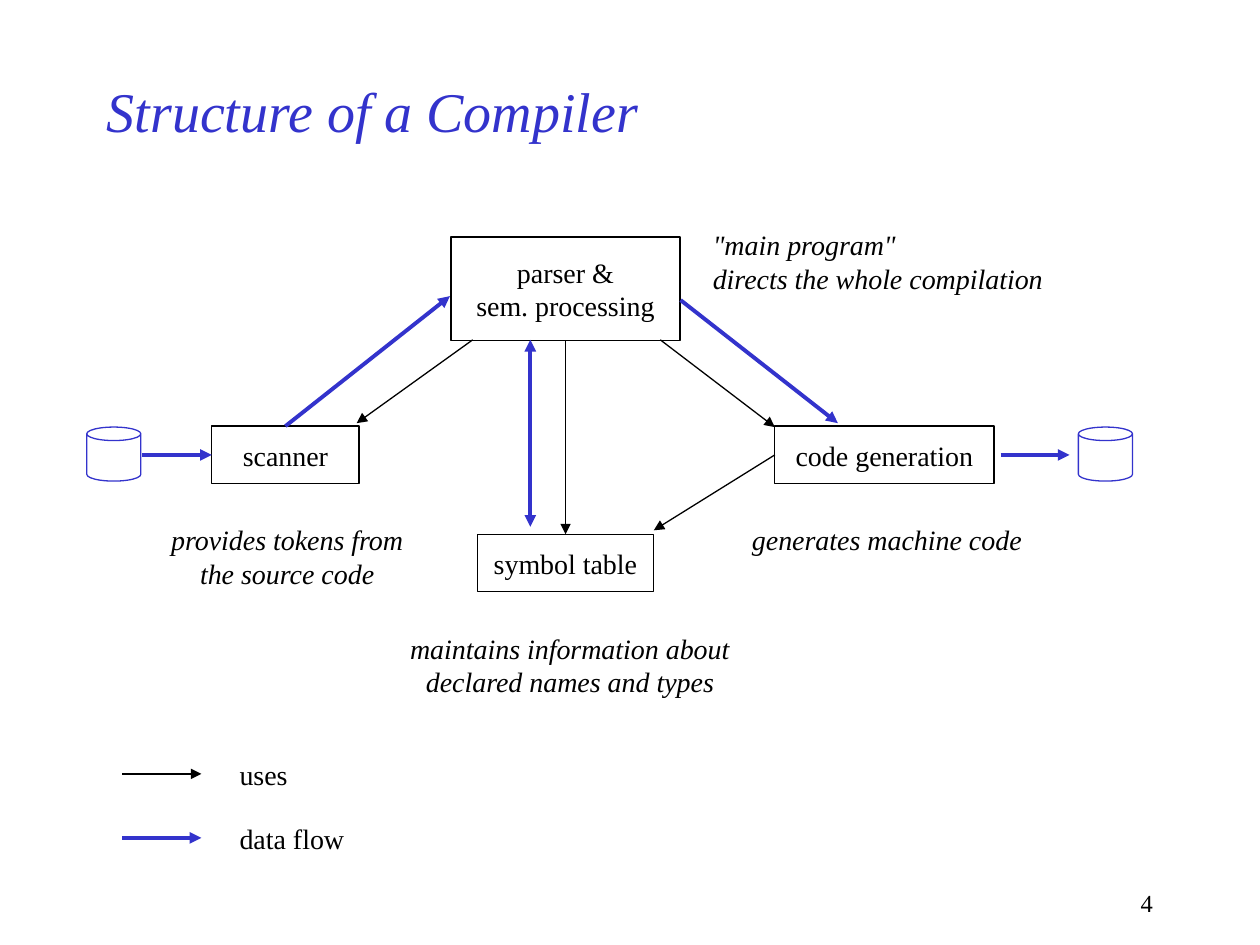
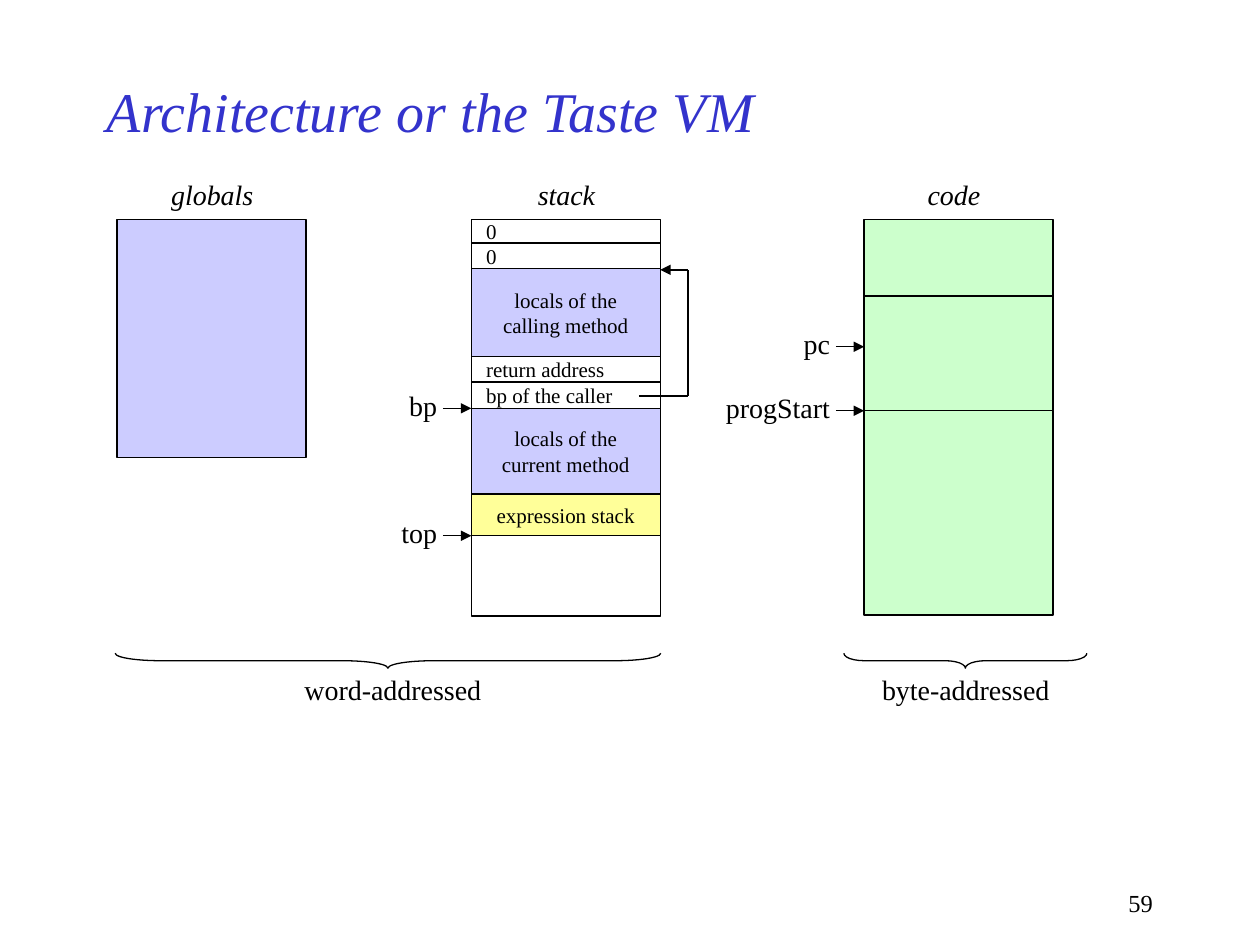
from itertools import pairwise

from lxml.etree import SubElement
from pptx import Presentation
from pptx.dml.color import RGBColor
from pptx.enum.shapes import MSO_CONNECTOR as Connector, MSO_SHAPE as Shape
from pptx.enum.text import MSO_ANCHOR as Anchor, MSO_AUTO_SIZE as AutoSize, PP_ALIGN as Align
from pptx.oxml.ns import qn
from pptx.util import Cm, Pt

FONT = "Times New Roman"
BLACK = RGBColor(0x00, 0x00, 0x00)
BLUE = RGBColor(0x33, 0x33, 0xCC)
LAVENDER = RGBColor(0xCC, 0xCC, 0xFF)
YELLOW = RGBColor(0xFF, 0xFF, 0x99)
GREEN = RGBColor(0xCC, 0xFF, 0xCC)
LEFT, CENTER, RIGHT = Align.LEFT, Align.CENTER, Align.RIGHT
THIN, THICK = 0.75, 2.25
SIDE_TOP, SIDE_LEFT, SIDE_BOTTOM = 0, 1, 2

# Content of the compiler slide; all lengths in cm
PARTS = {  # text: left, top, width, height
    "parser &\nsem. processing": (9.09, 4.78, 4.62, 2.08),
    "scanner": (4.27, 8.59, 2.97, 1.16),
    "symbol table": (9.63, 10.77, 3.54, 1.16),
    "code generation": (15.62, 8.59, 4.42, 1.16),
}
PARSER, SCANNER, SYMBOLS, GENERATOR = PARTS
REMARKS = [  # text, x of the aligned edge or centre, top, alignment
    ("provides tokens from\nthe source code", 5.79, 10.41, CENTER),
    ("maintains information about\ndeclared names and types", 11.49, 12.6, CENTER),
    ("generates machine code", 17.88, 10.41, CENTER),
    ('"main program"\ndirects the whole compilation', 14.12, 4.47, LEFT),
]
# An end is a point or a part with one of its sides
USES = [
    ((PARSER, SIDE_BOTTOM), (SYMBOLS, SIDE_TOP)),
    ((9.53, 6.85), (7.19, 8.53)),
    ((13.31, 6.85), (15.62, 8.61)),
    ((GENERATOR, SIDE_LEFT), (13.18, 10.69)),
]
DATA_FLOW = [
    ((SCANNER, SIDE_TOP), (9.07, 5.97)),
    ((2.87, 9.17), (SCANNER, SIDE_LEFT)),
    ((20.17, 9.17), (21.56, 9.17)),
    ((13.72, 6.05), (16.89, 8.53)),
]
TABLE_ACCESS = ((10.69, 10.62), (10.69, 6.85))
FILES_X, FILE_TOP, FILE_SIZE = (1.75, 21.74), 8.61, 1.09
LEGEND = [("uses", 15.6, BLACK, THIN), ("data flow", 16.89, BLUE, THICK)]

# Content of the VM slide
COLUMN_TOP, COLUMN_WIDTH = 4.42, 3.81
STACK_X, CODE_X = 9.5, 17.42
MEMORY = [  # heading, heading centre, left, rows of (height, fill, text, alignment)
    ("globals", 4.28, 2.36, [(4.8, LAVENDER, "", CENTER)]),
    ("stack", 11.42, STACK_X, [
        (0.48, None, "0", LEFT),
        (0.51, None, "0", LEFT),
        (1.78, LAVENDER, "locals of the\ncalling method", CENTER),
        (0.51, None, "return address", LEFT),
        (0.53, None, "bp of the caller", LEFT),
        (1.73, LAVENDER, "locals of the\ncurrent method", CENTER),
        (0.84, YELLOW, "expression stack", CENTER),
        (1.62, None, "", CENTER),
    ]),
    ("code", 19.23, CODE_X, [(height, GREEN, "", CENTER) for height in (1.55, 2.31, 4.12)]),
]
POINTERS = [("bp", STACK_X, 8.23), ("top", STACK_X, 10.8),
            ("pc", CODE_X, 6.99), ("progStart", CODE_X, 8.28)]
POINTER_LENGTH = 0.57
CALLER_LINK = [(12.88, 7.98), (13.87, 7.98), (13.87, 5.44), (13.31, 5.44)]
ADDRESSING = [  # caption, caption centre, brace centre, brace length
    ("word-addressed", 7.92, 7.82, 11.0),
    ("byte-addressed", 19.47, 19.46, 4.9),
]
BRACE_Y, BRACE_DEPTH = 13.32, 0.3


def cm(*lengths):
    return [Cm(length) for length in lengths]


def write(frame, text, size=16, align=LEFT, italic=False, color=BLACK):
    for number, line in enumerate(text.split("\n")):
        paragraph = frame.add_paragraph() if number else frame.paragraphs[0]
        paragraph.alignment = align
        run = paragraph.add_run()
        run.text = line
        font = run.font
        font.name, font.size, font.italic = FONT, Pt(size), italic
        font.color.rgb = color


def add_label(slide, text, x, top, align=LEFT, italic=False):
    """Place text whose left edge, centre or right edge is at x."""
    lines = text.split("\n")
    width = 0.6 + 0.26 * max(map(len, lines))
    left = x - width * {LEFT: 0, CENTER: 0.5, RIGHT: 1}[align]
    label = slide.shapes.add_textbox(*cm(left, top, width, 0.25 + 0.69 * len(lines)))
    label.text_frame.word_wrap = True
    write(label.text_frame, text, align=align, italic=italic)


def add_outline(slide, kind, place, color=BLACK, fill=None):
    outline = slide.shapes.add_shape(kind, *cm(*place))
    outline.shadow.inherit = False
    outline.line.color.rgb = color
    outline.line.width = Pt(THIN)
    if fill is None:
        outline.fill.background()
    else:
        outline.fill.solid()
        outline.fill.fore_color.rgb = fill
    return outline


def add_box(slide, place, text, fill=None, size=16, align=CENTER, inset=0.0):
    box = add_outline(slide, Shape.RECTANGLE, place, fill=fill)
    if text:
        frame = box.text_frame
        frame.word_wrap = False
        frame.vertical_anchor = Anchor.MIDDLE
        frame.margin_top = frame.margin_bottom = 0
        frame.margin_left = frame.margin_right = Cm(inset)
        write(frame, text, size, align)
    return box


def add_line(slide, start, end, color=BLACK, width=THIN, heads=("tailEnd",), boxes=None):
    points = [(0, 0) if isinstance(stop[0], str) else stop for stop in (start, end)]
    line = slide.shapes.add_connector(Connector.STRAIGHT, *cm(*points[0], *points[1]))
    for stop, connect in ((start, line.begin_connect), (end, line.end_connect)):
        if isinstance(stop[0], str):
            connect(boxes[stop[0]], stop[1])
    line.line.color.rgb = color
    line.line.width = Pt(width)
    properties = line._element.spPr
    for head in heads:
        SubElement(properties.find(qn("a:ln")), qn(f"a:{head}"), type="triangle")
    SubElement(properties, qn("a:effectLst"))


def add_page(deck, heading, number):
    slide = deck.slides.add_slide(deck.slide_layouts[5])
    title = slide.shapes.title
    title.left, title.top, title.width, title.height = cm(1.9, 1.27, 19.05, 1.9)
    title.text_frame.auto_size = AutoSize.NONE
    title.text_frame.vertical_anchor = Anchor.MIDDLE
    write(title.text_frame, heading, 32, italic=True, color=BLUE)
    footer = slide.shapes.add_textbox(*cm(18.21, 17.78, 5.28, 0.84))
    footer.text_frame.word_wrap = True
    write(footer.text_frame, str(number), 14, RIGHT)
    return slide


def build_compiler(deck):
    slide = add_page(deck, "Structure of a Compiler", 4)
    boxes = {text: add_box(slide, place, text) for text, place in PARTS.items()}
    for text, x, top, align in REMARKS:
        add_label(slide, text, x, top, align, italic=True)
    # Source and target files
    for x in FILES_X:
        can = add_outline(slide, Shape.CAN, (x, FILE_TOP, FILE_SIZE, FILE_SIZE), BLUE)
        can.adjustments[0] = 0.25
    # Arrows
    for start, end in USES:
        add_line(slide, start, end, boxes=boxes)
    for start, end in DATA_FLOW:
        add_line(slide, start, end, BLUE, THICK, boxes=boxes)
    add_line(slide, *TABLE_ACCESS, BLUE, THICK, ("headEnd", "tailEnd"))
    # Legend
    for text, y, color, width in LEGEND:
        add_line(slide, (2.46, y), (4.06, y), color, width)
        add_label(slide, text, 4.58, y - 0.46)


def build_vm(deck):
    slide = add_page(deck, "Architecture or the Taste VM", 59)
    # Memory areas, row under row
    for heading, center, left, rows in MEMORY:
        add_label(slide, heading, center, 3.45, CENTER, italic=True)
        top = COLUMN_TOP
        for height, fill, text, align in rows:
            add_box(slide, (left, top, COLUMN_WIDTH, height), text, fill, 12, align, 0.3)
            top += height
    # Registers pointing into the areas
    for register, x, y in POINTERS:
        start = x - POINTER_LENGTH
        add_line(slide, (start, y), (x, y))
        add_label(slide, register, start + 0.13, y - 0.53, RIGHT)
    # Link from the saved bp to the caller's frame
    for start, end in pairwise(CALLER_LINK):
        add_line(slide, start, end, heads=("tailEnd",) if end == CALLER_LINK[-1] else ())
    # Braces: upright ones turned to open upwards
    for caption, caption_x, x, length in ADDRESSING:
        place = (x - BRACE_DEPTH / 2, BRACE_Y - length / 2, BRACE_DEPTH, length)
        brace = add_outline(slide, Shape.RIGHT_BRACE, place)
        brace.adjustments[0] = length / 12 / BRACE_DEPTH
        brace.rotation = 90
        add_label(slide, caption, caption_x, 13.44, CENTER)


def main():
    deck = Presentation()
    deck.slide_width, deck.slide_height = cm(25.4, 19.05)
    build_compiler(deck)
    build_vm(deck)
    deck.save("out.pptx")


if __name__ == "__main__":
    main()
